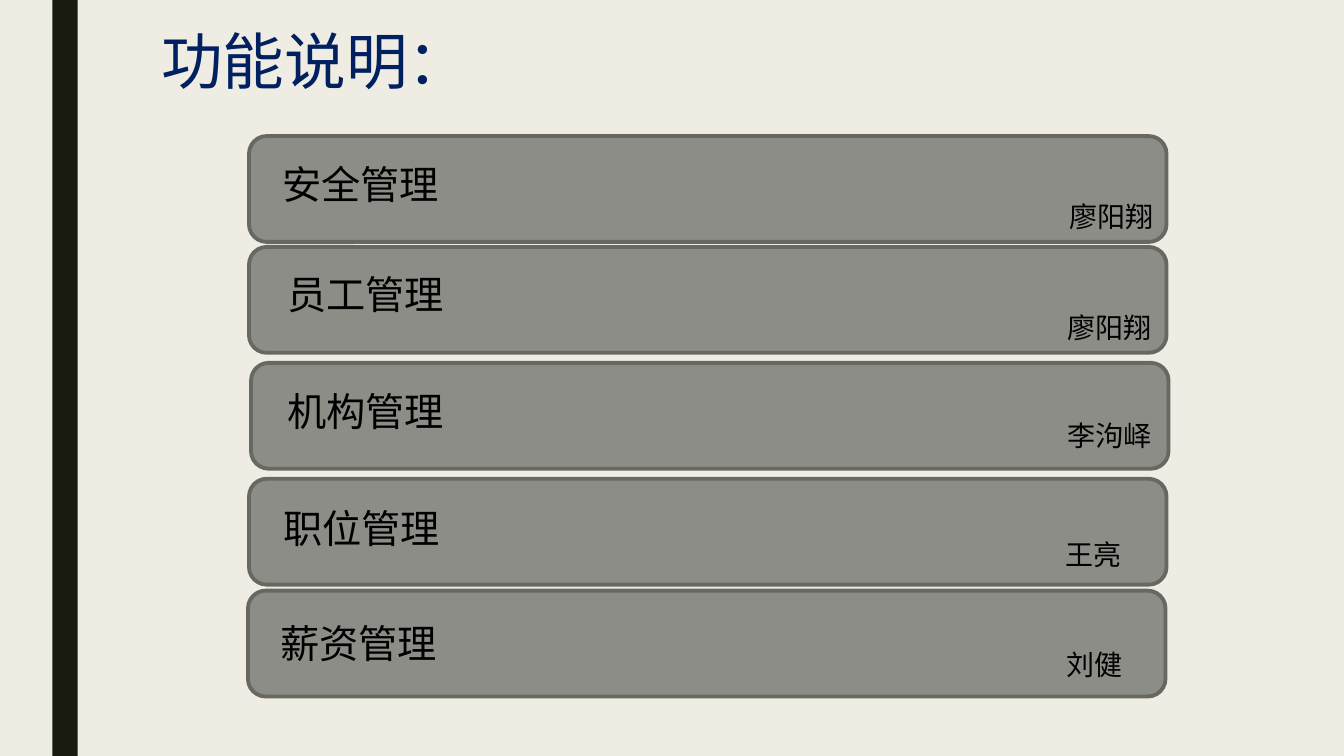
from pptx import Presentation
from pptx.dml.color import RGBColor
from pptx.enum import shapes, text
from pptx.util import Inches, Pt

BACKGROUND = RGBColor(0xEF, 0xED, 0xE3)
STRIPE = RGBColor(0x19, 0x1B, 0x0E)
NAVY = RGBColor(0x00, 0x20, 0x60)
BAR_FILL = RGBColor(0x8C, 0x8D, 0x86)
BAR_LINE = RGBColor(0x68, 0x68, 0x63)
BLACK = RGBColor(0, 0, 0)
FONT = "Roboto"
BAR_WIDTH, BAR_HEIGHT = 9.1, 1.05

# Each row: bar corner, module name and its offset, owner name and its offset.
MODULES = [
    ((2.47, 1.35), "安全管理", (0.23, 0.19), "廖阳翔", (8.04, 0.58)),
    ((2.47, 2.45), "员工管理", (0.28, 0.18), "廖阳翔", (8.02, 0.58)),
    ((2.49, 3.6), "机构管理", (0.26, 0.19), "李泃峄", (8.0, 0.5)),
    ((2.47, 4.75), "职位管理", (0.24, 0.2), "王亮", (8.0, 0.53)),
    ((2.46, 5.86), "薪资管理", (0.22, 0.23), "刘健", (8.02, 0.51)),
]


def add_run(paragraph, words, size, color):
    """Append one formatted run to a paragraph."""
    run = paragraph.add_run()
    run.text = words
    run.font.name = FONT
    run.font.size = Pt(size)
    run.font.color.rgb = color


def add_label(slide, left, top, width, height, words, size):
    """Place a black text box."""
    box = slide.shapes.add_textbox(Inches(left), Inches(top), Inches(width), Inches(height))
    box.text_frame.word_wrap = True
    box.text_frame.auto_size = text.MSO_AUTO_SIZE.SHAPE_TO_FIT_TEXT
    add_run(box.text_frame.paragraphs[0], words, size, BLACK)


def add_background(slide, left, width, height):
    """Colour the slide and draw its vertical stripe."""
    slide.background.fill.solid()
    slide.background.fill.fore_color.rgb = BACKGROUND
    stripe = slide.shapes.add_shape(
        shapes.MSO_SHAPE.RECTANGLE, Inches(left), 0, Inches(width), Inches(height))
    stripe.shadow.inherit = False
    stripe.fill.solid()
    stripe.fill.fore_color.rgb = STRIPE
    stripe.line.fill.background()


def add_title(slide, left, top, width, height):
    """Move and fill the title placeholder."""
    title = slide.shapes.title
    title.left, title.top = Inches(left), Inches(top)
    title.width, title.height = Inches(width), Inches(height)
    frame = title.text_frame
    frame.word_wrap = True
    frame.auto_size = text.MSO_AUTO_SIZE.NONE
    frame.vertical_anchor = text.MSO_ANCHOR.TOP
    paragraph = frame.paragraphs[0]
    paragraph.alignment = text.PP_ALIGN.LEFT
    paragraph.line_spacing = 0.89
    add_run(paragraph, "功能说明：", 44, NAVY)


def add_module(slide, corner, name, name_offset, owner, owner_offset):
    """Draw one module bar with its name and owner."""
    left, top = corner
    bar = slide.shapes.add_shape(
        shapes.MSO_SHAPE.ROUNDED_RECTANGLE,
        Inches(left), Inches(top), Inches(BAR_WIDTH), Inches(BAR_HEIGHT))
    bar.shadow.inherit = False
    bar.fill.solid()
    bar.fill.fore_color.rgb = BAR_FILL
    bar.line.color.rgb = BAR_LINE
    bar.line.width = Pt(2.75)
    add_label(slide, left + name_offset[0], top + name_offset[1], 2.67, 0.57, name, 28)
    add_label(slide, left + owner_offset[0], top + owner_offset[1], 1.18, 0.44, owner, 20)


def main():
    """Build and save the presentation."""
    presentation = Presentation()
    presentation.slide_width = Inches(13.33)
    presentation.slide_height = Inches(7.5)
    slide = presentation.slides.add_slide(presentation.slide_layouts[5])
    add_background(slide, 0.52, 0.25, 7.5)
    add_title(slide, 1.5, 0.27, 10.5, 1.62)
    for module in MODULES:
        add_module(slide, *module)
    presentation.save("out.pptx")


if __name__ == "__main__":
    main()
